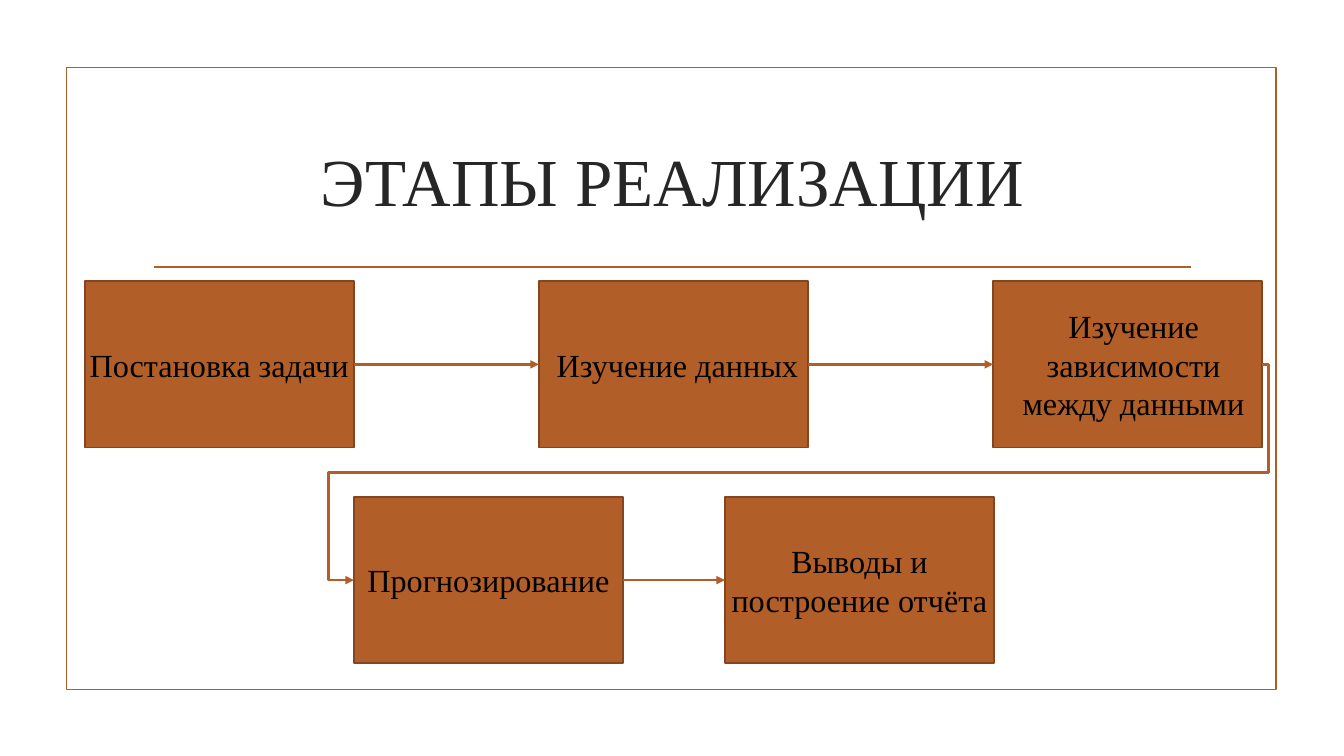
import pptx
import pptx.util
import pptx.dml.color
import pptx.enum.shapes
import pptx.enum.text
import pptx.oxml.ns
import lxml.etree

Inches = pptx.util.Inches
FONT = "Times New Roman"
RUST, EDGE, DARK, BLACK = "B15E28", "83461E", "262626", "000000"
WIDE, HIGH = 2.67, 1.65


def color(code):
    return pptx.dml.color.RGBColor.from_string(code)


def add_text(slide, box, words, size, code, wrap=True):
    item = slide.shapes.add_textbox(*map(Inches, box))
    frame = item.text_frame
    frame.word_wrap = wrap
    frame.vertical_anchor = pptx.enum.text.MSO_ANCHOR.MIDDLE
    para = frame.paragraphs[0]
    para.alignment = pptx.enum.text.PP_ALIGN.CENTER
    run = para.add_run()
    run.text = words
    run.font.name = FONT
    run.font.size = pptx.util.Pt(size)
    run.font.color.rgb = color(code)


def add_rect(slide, box, fill, edge):
    kind = pptx.enum.shapes.MSO_SHAPE.RECTANGLE
    rect = slide.shapes.add_shape(kind, *map(Inches, box))
    rect.shadow.inherit = False
    if fill:
        rect.fill.solid()
        rect.fill.fore_color.rgb = color(fill)
    else:
        rect.fill.background()
    rect.line.color.rgb = color(edge)
    rect.line.width = pptx.util.Pt(1.25)


def add_line(slide, start, end, width=2, arrow=True, bends=None):
    kinds = pptx.enum.shapes.MSO_CONNECTOR
    kind = kinds.ELBOW if bends else kinds.STRAIGHT
    line = slide.shapes.add_connector(kind, *map(Inches, start + end))
    line.line.color.rgb = color(RUST)
    line.line.width = pptx.util.Pt(width)
    qn = pptx.oxml.ns.qn
    props = line._element.spPr
    if arrow:
        tip = lxml.etree.SubElement(props.find(qn("a:ln")), qn("a:tailEnd"))
        tip.set("type", "triangle")
    lxml.etree.SubElement(props, qn("a:effectLst"))
    # Five-part elbow, bends given as shares of its width and height
    if bends:
        geom = props.find(qn("a:prstGeom"))
        geom.set("prst", "bentConnector5")
        guides = geom.find(qn("a:avLst"))
        for num, share in enumerate(bends, 1):
            guide = lxml.etree.SubElement(guides, qn("a:gd"))
            guide.set("name", f"adj{num}")
            guide.set("fmla", f"val {round(share * 100000)}")


def add_head(slide, box):
    left, top, wide, high = box
    # Frame, rule and title
    add_rect(slide, box, None, RUST)
    rule = top + 1.98
    add_line(slide, (left + 0.87, rule), (left + 11.15, rule), 1.25, False)
    add_text(slide, (left + 0.76, top + 0.4, wide - 1.5, 1.43),
             "ЭТАПЫ РЕАЛИЗАЦИИ", 48, DARK)


def add_row(slide, left, top, step, stages):
    """Place one row of stages, joined by arrows."""
    mid = top + HIGH / 2
    for num, (words, wide, high, shift) in enumerate(stages):
        x = left + num * step
        add_rect(slide, (x, top, WIDE, HIGH), RUST, EDGE)
        if num:
            add_line(slide, (x - step + WIDE, mid), (x, mid))
        # Label, centred on its stage with a small shift
        spot = (x + (WIDE - wide) / 2 + shift, mid - high / 2, wide, high)
        add_text(slide, spot, words, 23, BLACK, wrap=high > 0.5)


def add_flow(slide, box):
    left, top, wide, high = box
    low = top + high - HIGH
    add_row(slide, left, top, (wide - WIDE) / 2, [
        ("Постановка задачи", 2.8, 0.49, 0),
        ("Изучение данных", 2.62, 0.49, 0.04),
        ("Изучение зависимости между данными", 2.67, 1.26, 0.06),
    ])
    add_row(slide, left + WIDE, low, 3.68, [
        ("Прогнозирование", 2.62, 0.49, 0),
        ("Выводы и построение отчёта", 3.05, 0.91, 0),
    ])
    # Link from the first row to the second
    add_line(slide, (left + wide, top + HIGH / 2),
             (left + WIDE, low + HIGH / 2), bends=(-0.007, 0.5, 1.028))


def main():
    deck = pptx.Presentation()
    deck.slide_width, deck.slide_height = Inches(13.33), Inches(7.5)
    slide = deck.slides.add_slide(deck.slide_layouts[6])
    add_head(slide, (0.66, 0.67, 12, 6.17))
    add_flow(slide, (0.84, 2.79, 11.68, 3.79))
    deck.save("out.pptx")


if __name__ == "__main__":
    main()
